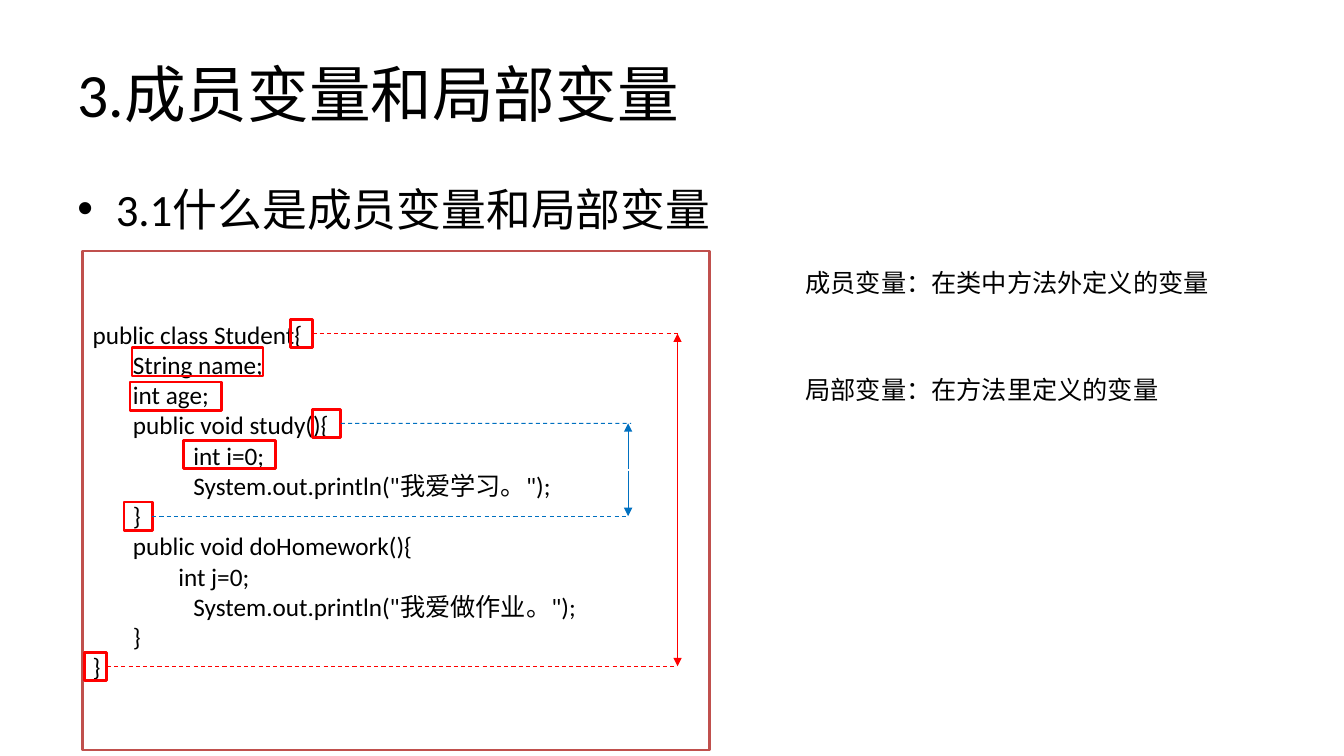
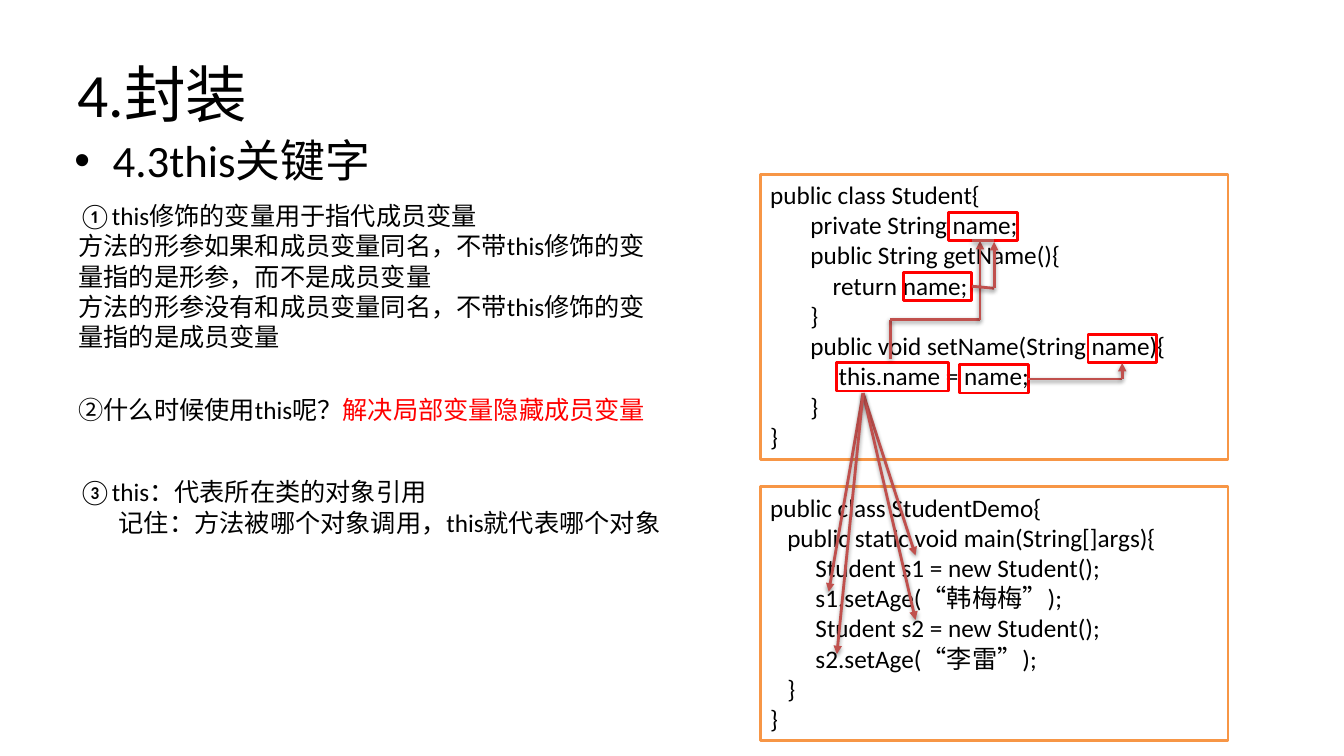
import pptx
import pptx.util
import pptx.dml.color
import pptx.enum.dml
import pptx.enum.shapes
import pptx.enum.text
import pptx.oxml.ns
import lxml.etree

Inches, Pt = pptx.util.Inches, pptx.util.Pt
qn = pptx.oxml.ns.qn
ANCHOR = pptx.enum.text.MSO_ANCHOR


class Theme:
    font = "Calibri"
    title, head, body = 44, 32, 18
    black, white, red = "000000", "FFFFFF", "FF0000"
    blue, brick, orange = "0070C0", "C0504D", "F79646"
    thick, thin = 2, 0.75
    mark = 0.28   # height of a red frame
    # route style: colour, width, dashed, arrow, shadow
    routes = {
        "outer": (red, thin, True, False, False),
        "inner": (blue, thin, True, False, False),
        "span": (red, thin, False, True, False),
        "part": (blue, thin, False, True, False),
        "plain": (brick, thick, False, False, True),
        "arrow": (brick, thick, False, True, True),
    }


# Content: a text line is (indent, text, optional red text);
# a mark is (left, top, width);
# a route point is (x, y) or (mark name, side)
BOTTOM, RIGHT = 2, 3
SCOPE = {
    "title": "3.成员变量和局部变量",
    "head": ("3.1什么是成员变量和局部变量", 0.67, 1.75),
    "codes": [((0.82, 2.49, 6.22, 4.95), Theme.brick, ANCHOR.MIDDLE, [
        (0, "public class Student{"),
        (0.4, "String name;"),
        (0.4, "int age;"),
        (0.4, "public void study(){"),
        (1, "int i=0;"),
        (1, "System.out.println(\"我爱学习。\");"),
        (0.4, "}"),
        (0.4, "public void doHomework(){"),
        (0.85, "int j=0;"),
        (1, "System.out.println(\"我爱做作业。\");"),
        (0.4, "}"),
        (0, "}"),
    ])],
    "notes": [
        ((7.89, 2.6, 4.93, 0.4), [(0, "成员变量：在类中方法外定义的变量")]),
        ((7.89, 3.66, 4.93, 0.4), [(0, "局部变量：在方法里定义的变量")]),
    ],
    "marks": {
        "class open": (2.88, 3.17, 0.22),
        "class close": (0.84, 6.47, 0.22),
        "name": (1.31, 3.45, 1.3),
        "age": (1.29, 3.79, 0.91),
        "study open": (3.1, 4.06, 0.28),
        "study close": (1.23, 4.98, 0.28),
        "local": (1.82, 4.37, 0.91),
    },
    "routes": [
        ("outer", [("class open", RIGHT), (6.72, 3.31)]),
        ("outer", [("class close", RIGHT), (6.72, 6.61)]),
        ("span", [(6.72, 4.99), (6.72, 3.31)]),
        ("span", [(6.72, 4.96), (6.72, 6.61)]),
        ("inner", [("study open", RIGHT), (6.26, 4.2)]),
        ("inner", [("study close", RIGHT), (6.23, 5.12)]),
        ("part", [(6.23, 4.65), (6.23, 4.2)]),
        ("part", [(6.23, 4.67), (6.23, 5.12)]),
    ],
}
THIS = {
    "title": "4.封装",
    "head": ("4.3this关键字", 0.64, 1.27),
    "codes": [
        ((7.54, 1.73, 4.64, 2.83), Theme.orange, ANCHOR.TOP, [
            (0, "public class Student{"),
            (0.4, "private String name;"),
            (0.4, "public String getName(){"),
            (0.62, "return name;"),
            (0.4, "}"),
            (0.4, "public void setName(String name){"),
            (0.68, "this.name = name;"),
            (0.4, "}"),
            (0, "}"),
        ]),
        ((7.54, 4.83, 4.64, 2.52), Theme.orange, ANCHOR.TOP, [
            (0, "public class StudentDemo{"),
            (0.17, "public static void main(String[]args){"),
            (0.45, "Student s1 = new Student();"),
            (0.45, "s1.setAge(“韩梅梅”);"),
            (0.45, "Student s2 = new Student();"),
            (0.45, "s2.setAge(“李雷”);"),
            (0.17, "}"),
            (0, "}"),
        ]),
    ],
    "notes": [
        ((0.68, 1.94, 5.97, 1.62), [
            (0, "①this修饰的变量用于指代成员变量"),
            (0, "方法的形参如果和成员变量同名，不带this修饰的变量指的是形参，而不是成员变量"),
            (0, "方法的形参没有和成员变量同名，不带this修饰的变量指的是成员变量"),
        ]),
        ((0.68, 3.86, 6.1, 0.4), [
            (0, "②什么时候使用this呢？", "解决局部变量隐藏成员变量"),
        ]),
        ((0.68, 4.68, 6.1, 0.71), [
            (0, "③this：代表所在类的对象引用"),
            (0.4, "记住：方法被哪个对象调用，this就代表哪个对象"),
        ]),
    ],
    "marks": {
        "param": (10.79, 3.32, 0.68),
        "field": (9.41, 2.11, 0.68),
        "value": (9.52, 3.62, 0.68),
        "this": (8.3, 3.6, 1.11),
        "return": (8.96, 2.7, 0.68),
    },
    "routes": [
        ("arrow", [("value", RIGHT), (11.13, 3.76), ("param", BOTTOM)]),
        ("arrow", [(8.83, 3.56), (8.83, 3.17), (9.72, 3.17), (9.72, 2.39)]),
        ("plain", [(9.64, 2.39), (9.86, 2.39)]),
        ("arrow", [("return", RIGHT), (9.86, 2.86), (9.86, 2.4)]),
    ] + [
        ("arrow", [(8.56, 3.9), tip])
        for tip in ((9.08, 5.51), (8.22, 5.87), (9.08, 6.15), (8.3, 6.49))
    ],
}


def rgb(code):
    return pptx.dml.color.RGBColor.from_string(code)


def sub(node, tag, **attrs):
    return lxml.etree.SubElement(node, qn(tag), attrs)


# Text
def add_run(para, text, size, color=Theme.black):
    run = para.add_run()
    run.text = text
    font = run.font
    font.name, font.size = Theme.font, Pt(size)
    font.color.rgb = rgb(color)


def fill_text(frame, lines, size=Theme.body, anchor=ANCHOR.TOP):
    frame.word_wrap = True
    frame.vertical_anchor = anchor
    for i, (indent, text, *accent) in enumerate(lines):
        para = frame.add_paragraph() if i else frame.paragraphs[0]
        para.alignment = pptx.enum.text.PP_ALIGN.LEFT
        if indent:
            para._p.get_or_add_pPr().set("marL", str(Inches(indent)))
        add_run(para, text, size)
        for part in accent:
            add_run(para, part, size, Theme.red)


def add_text(slide, at, lines, **style):
    frame = slide.shapes.add_textbox(*map(Inches, at)).text_frame
    fill_text(frame, lines, **style)
    return frame


def add_head(slide, text, left, top):
    frame = add_text(slide, (left, top, 12, 0.7), [(0.38, text)],
                     size=Theme.head)
    para = frame.paragraphs[0]
    para.space_before = Pt(Theme.head * 0.2)
    props = para._p.get_or_add_pPr()
    props.set("indent", str(-Inches(0.38)))
    sub(props, "a:buFont", typeface="Arial")
    sub(props, "a:buChar", char="•")


# Boxes and frames
def add_box(slide, at, line, fill=None):
    kind = pptx.enum.shapes.MSO_SHAPE.RECTANGLE
    box = slide.shapes.add_shape(kind, *map(Inches, at))
    box.shadow.inherit = False
    if fill:
        box.fill.solid()
        box.fill.fore_color.rgb = rgb(fill)
    else:
        box.fill.background()
    box.line.color.rgb = rgb(line)
    box.line.width = Pt(Theme.thick)
    return box


# Lines and arrows
def add_line(slide, start, end, style, tip, marks):
    color, width, dash, arrow, shade = Theme.routes[style]
    ends = [(0, 0) if p[0] in marks else tuple(map(Inches, p))
            for p in (start, end)]
    kind = pptx.enum.shapes.MSO_CONNECTOR.STRAIGHT
    line = slide.shapes.add_connector(kind, *ends[0], *ends[1])
    for point, join in ((start, line.begin_connect), (end, line.end_connect)):
        if point[0] in marks:
            join(marks[point[0]], point[1])
    line.line.color.rgb = rgb(color)
    line.line.width = Pt(width)
    if dash:
        line.line.dash_style = pptx.enum.dml.MSO_LINE.DASH
    if arrow and tip:
        sub(line.line._get_or_add_ln(), "a:tailEnd", type="triangle")
    effects = sub(line._element.spPr, "a:effectLst")
    if shade:
        shadow = sub(effects, "a:outerShdw", blurRad=str(Pt(3.1)),
                     dist=str(Pt(1.6)), dir="5400000", rotWithShape="0")
        tint = sub(shadow, "a:srgbClr", val=Theme.black)
        sub(tint, "a:alpha", val="38000")


def add_route(slide, style, points, marks):
    last = len(points) - 2
    for i, (start, end) in enumerate(zip(points, points[1:])):
        add_line(slide, start, end, style, i == last, marks)


def build(deck, page):
    slide = deck.slides.add_slide(deck.slide_layouts[6])
    add_head(slide, *page["head"])
    add_text(slide, (0.67, 0.3, 12, 1.25), [(0, page["title"])],
             size=Theme.title, anchor=ANCHOR.MIDDLE)
    for at, line, anchor, lines in page["codes"]:
        box = add_box(slide, at, line, Theme.white)
        fill_text(box.text_frame, lines, anchor=anchor)
    for at, lines in page["notes"]:
        add_text(slide, at, lines)
    marks = {name: add_box(slide, (*at, Theme.mark), Theme.red)
             for name, at in page["marks"].items()}
    for style, points in page["routes"]:
        add_route(slide, style, points, marks)


def main():
    deck = pptx.Presentation()
    deck.slide_width, deck.slide_height = Inches(13.33), Inches(7.5)
    for page in (SCOPE, THIS):
        build(deck, page)
    deck.save("out.pptx")


if __name__ == "__main__":
    main()
